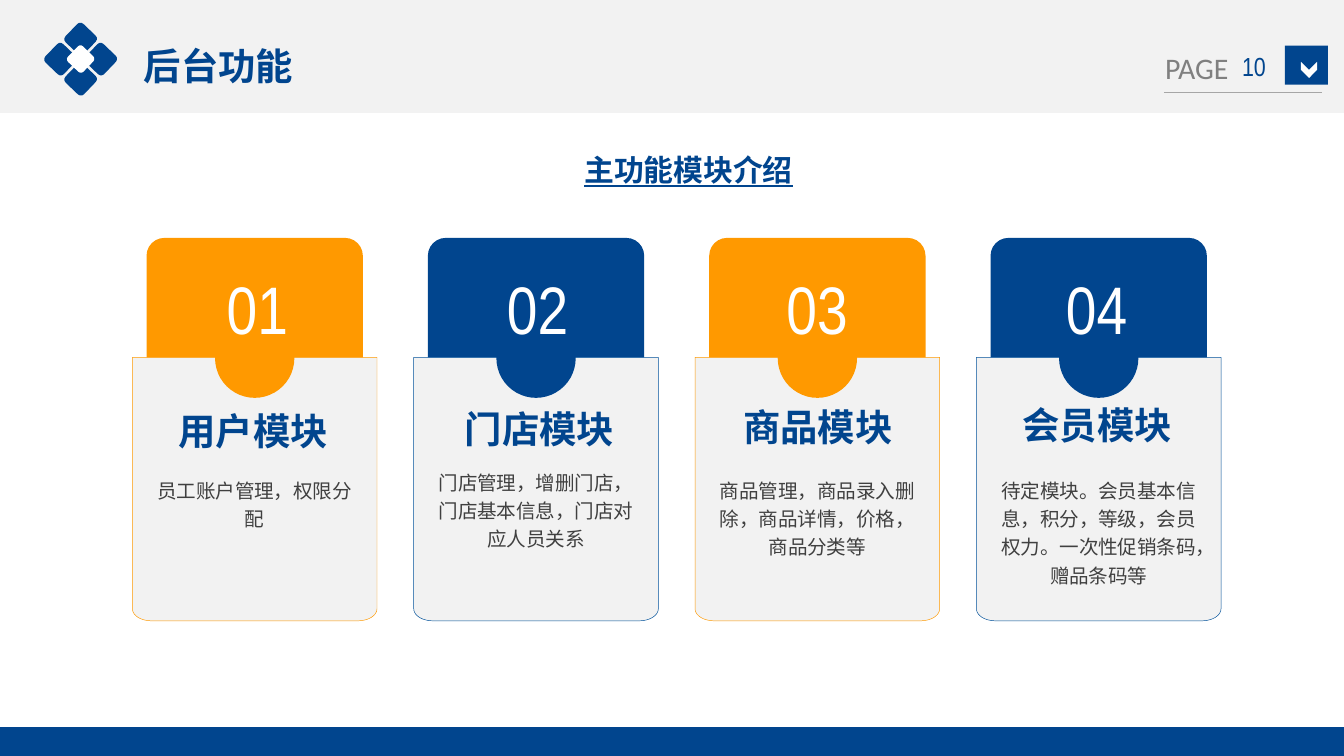
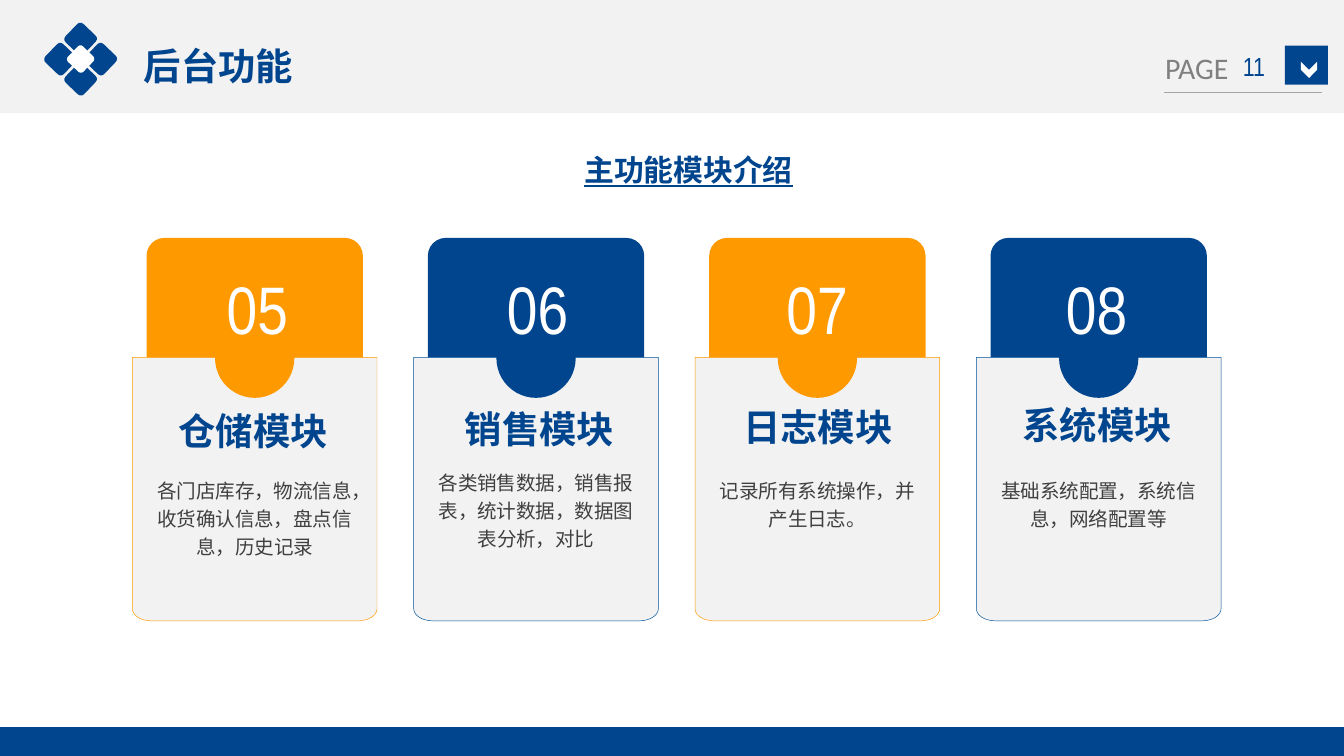
import math

import pptx
import pptx.dml.color
import pptx.enum.shapes
import pptx.enum.text
import pptx.oxml
import pptx.oxml.ns
import pptx.util

Inches = pptx.util.Inches
Pt = pptx.util.Pt
SHAPE = pptx.enum.shapes.MSO_SHAPE
ALIGN = pptx.enum.text.PP_ALIGN
ANCHOR = pptx.enum.text.MSO_ANCHOR
AUTO_SIZE = pptx.enum.text.MSO_AUTO_SIZE

COLORS = {
    "blue": "01458E",
    "outline_blue": "01519A",
    "orange": "FF9900",
    "panel": "F2F2F2",
    "white": "FFFFFF",
    "text": "404040",
    "page": "808080",
    "rule": "A6A6A6",
}
CHINESE = "Noto Sans CJK SC"
NARROW = "Arial Narrow"
TITLE = "后台功能"
SUBTITLE = "主功能模块介绍"

SLIDES = [
    (10, [
        ("01", "用户模块", "员工账户管理，权限分配"),
        ("02", "门店模块", "门店管理，增删门店，门店基本信息，门店对应人员关系"),
        ("03", "商品模块", "商品管理，商品录入删除，商品详情，价格，商品分类等"),
        ("04", "会员模块", "待定模块。会员基本信息，积分，等级，会员权力。一次性促销条码，赠品条码等"),
    ]),
    (11, [
        ("05", "仓储模块", "各门店库存，物流信息，收货确认信息，盘点信息，历史记录"),
        ("06", "销售模块", "各类销售数据，销售报表，统计数据，数据图表分析，对比"),
        ("07", "日志模块", "记录所有系统操作，并产生日志。"),
        ("08", "系统模块", "基础系统配置，系统信息，网络配置等"),
    ]),
]

CARD_STYLES = [
    {"fill": "orange", "outline": "orange", "number": (1.5, 0.83),
     "heading": (1.23, 2.99), "details_top": 3.49},
    {"fill": "blue", "outline": "outline_blue", "number": (3.56, 0.88),
     "heading": (3.36, 2.97), "details_top": 3.43},
    {"fill": "orange", "outline": "orange", "number": (5.6, 0.96),
     "heading": (5.43, 2.96), "details_top": 3.49},
    {"fill": "blue", "outline": "outline_blue", "number": (7.73, 0.86),
     "heading": (7.51, 2.94), "details_top": 3.49},
]
SLIDE_WIDTH = 10
SLIDE_HEIGHT = SLIDE_WIDTH * 9 / 16
FOOTER_TOP = 5.41
FIRST_TAB, LAST_TAB = 1.09, 7.37
TAB_PITCH = (LAST_TAB - FIRST_TAB) / (len(CARD_STYLES) - 1)
TAB_WIDTH, BODY_WIDTH, DISC = 1.61, 1.82, 0.59
BODY_TOP, BODY_BOTTOM = 2.66, 4.62
CORNER_X, CORNER_Y, CORNER_STEPS = 0.14, 0.09, 10
CHARACTERS_PER_LINE = 10
SMALL_INSETS = (0.07, 0.04)

EMBLEM_CENTER = (0.6, 0.44)
EMBLEM_TILES = [
    (0, -0.15, 0.19, "blue"),
    (-0.15, 0, 0.19, "blue"),
    (0.15, 0, 0.19, "blue"),
    (0, 0.15, 0.19, "blue"),
    (0, 0, 0.16, "white"),
]


def rgb(name):
    return pptx.dml.color.RGBColor.from_string(COLORS[name])


def paint(shape, fill, outline=None):
    shape.shadow.inherit = False
    shape.fill.solid()
    shape.fill.fore_color.rgb = rgb(fill)
    if outline:
        shape.line.color.rgb = rgb(outline)
        shape.line.width = Pt(0.25)
    else:
        shape.line.fill.background()


def add_block(shapes, kind, box, fill, rotation=0):
    shape = shapes.add_shape(kind, *map(Inches, box))
    paint(shape, fill)
    shape.rotation = rotation
    return shape


def write(shape, text, size, font, color, bold=False, underline=None, align=ALIGN.LEFT,
          wrap=False, insets=(0.1, 0.05), anchor=ANCHOR.TOP, spacing=None, grow=True):
    frame = shape.text_frame
    frame.word_wrap = wrap
    frame.auto_size = AUTO_SIZE.SHAPE_TO_FIT_TEXT if grow else AUTO_SIZE.NONE
    frame.vertical_anchor = anchor
    frame.margin_left = frame.margin_right = Inches(insets[0])
    frame.margin_top = frame.margin_bottom = Inches(insets[1])
    paragraph = frame.paragraphs[0]
    paragraph.alignment = align
    if spacing:
        paragraph.line_spacing = spacing
    run = paragraph.add_run()
    run.text = text
    run.font.name = font
    run.font.size = Pt(size)
    run.font.bold = bold
    run.font.underline = underline
    run.font.color.rgb = rgb(color)
    east_asian = pptx.oxml.parse_xml(f'<a:ea {pptx.oxml.ns.nsdecls("a")} typeface="{font}"/>')
    run.font._element.find(pptx.oxml.ns.qn("a:latin")).addnext(east_asian)


def add_text(shapes, box, *content, **style):
    write(shapes.add_textbox(*map(Inches, box)), *content, **style)


def add_rule(shapes, left, right, top):
    rule = shapes.add_connector(pptx.enum.shapes.MSO_CONNECTOR.STRAIGHT,
                                Inches(left), Inches(top), Inches(right), Inches(top))
    rule.line.color.rgb = rgb("rule")
    rule.line.width = Pt(0.75)
    rule._element.spPr.append(
        pptx.oxml.parse_xml(f'<a:effectLst {pptx.oxml.ns.nsdecls("a")}/>'))


def add_emblem(shapes):
    emblem = shapes.add_group_shape()
    for offset_x, offset_y, side, color in EMBLEM_TILES:
        left = EMBLEM_CENTER[0] + offset_x - side / 2
        top = EMBLEM_CENTER[1] + offset_y - side / 2
        add_block(emblem.shapes, SHAPE.ROUNDED_RECTANGLE, (left, top, side, side), color, 43.8)


def add_frame(slide, page):
    shapes = slide.shapes
    add_block(shapes, SHAPE.RECTANGLE, (0, 0, SLIDE_WIDTH, 0.84), "panel")
    add_block(shapes, SHAPE.RECTANGLE,
              (0, FOOTER_TOP, SLIDE_WIDTH, SLIDE_HEIGHT - FOOTER_TOP), "blue")
    add_text(shapes, (8.57, 0.32, 0.68, 0.37), "PAGE", 16, "Calibri", "page")
    add_block(shapes, SHAPE.RECTANGLE, (9.56, 0.34, 0.32, 0.29), "blue")
    add_block(shapes, SHAPE.CHEVRON, (9.68, 0.46, 0.12, 0.12), "white", 90)
    add_rule(shapes, 8.66, 9.84, 0.69)
    add_text(shapes, (9.09, 0.34, 0.48, 0.3), str(page), 14, NARROW, "blue",
             align=ALIGN.CENTER, wrap=True, anchor=ANCHOR.MIDDLE, grow=False)
    add_emblem(shapes)
    title = shapes.title
    title.left, title.top, title.width, title.height = map(Inches, (0.97, 0.27, 1.32, 0.44))
    write(title, TITLE, 20, CHINESE, "blue", bold=True)
    title.element.getparent().append(title.element)
    add_text(shapes, (4.25, 1.08, 1.77, 0.37), SUBTITLE, 16, CHINESE, "blue",
             bold=True, underline=True)


def body_outline(left):
    right = left + BODY_WIDTH
    angles = [math.pi / 2 * step / CORNER_STEPS for step in range(CORNER_STEPS + 1)]
    center_y = BODY_BOTTOM - CORNER_Y
    right_corner = [(right - CORNER_X + CORNER_X * math.cos(angle),
                     center_y + CORNER_Y * math.sin(angle)) for angle in angles]
    left_corner = [(left + right - x, y) for x, y in reversed(right_corner)]
    return [(left, BODY_TOP), (right, BODY_TOP)] + right_corner + left_corner


def add_card(slide, index, module):
    number, heading, details = module
    style = CARD_STYLES[index]
    number_left, number_width = style["number"]
    tab_left = FIRST_TAB + index * TAB_PITCH
    center = tab_left + TAB_WIDTH / 2
    shapes = slide.shapes.add_group_shape().shapes

    tab = add_block(shapes, SHAPE.ROUNDED_RECTANGLE,
                    (tab_left, 1.77, TAB_WIDTH, 1.48), style["fill"])
    tab.adjustments[0] = 0.09
    points = [(Inches(x), Inches(y)) for x, y in body_outline(center - BODY_WIDTH / 2)]
    builder = shapes.build_freeform(*points[0])
    builder.add_line_segments(points[1:], close=True)
    paint(builder.convert_to_shape(), "panel", style["outline"])
    add_block(shapes, SHAPE.OVAL, (center - DISC / 2, 2.37, DISC, DISC), style["fill"])
    add_text(shapes, (number_left, 1.95, number_width, 0.68), number, 36, NARROW, "white",
             align=ALIGN.CENTER, wrap=True, insets=SMALL_INSETS)
    lines = math.ceil(len(details) / CHARACTERS_PER_LINE)
    add_text(shapes, (tab_left, style["details_top"], TAB_WIDTH, 0.08 + 0.21 * lines),
             details, 10.5, CHINESE, "text", align=ALIGN.CENTER, wrap=True,
             insets=SMALL_INSETS, spacing=1.2)
    add_text(slide.shapes, (*style["heading"], 1.32, 0.44), heading, 20,
             CHINESE, "blue", bold=True)


def main():
    presentation = pptx.Presentation()
    presentation.slide_width = Inches(SLIDE_WIDTH)
    presentation.slide_height = Inches(SLIDE_HEIGHT)
    for page, modules in SLIDES:
        slide = presentation.slides.add_slide(presentation.slide_layouts[5])
        add_frame(slide, page)
        for index, module in enumerate(modules):
            add_card(slide, index, module)
    presentation.save("out.pptx")


if __name__ == "__main__":
    main()
